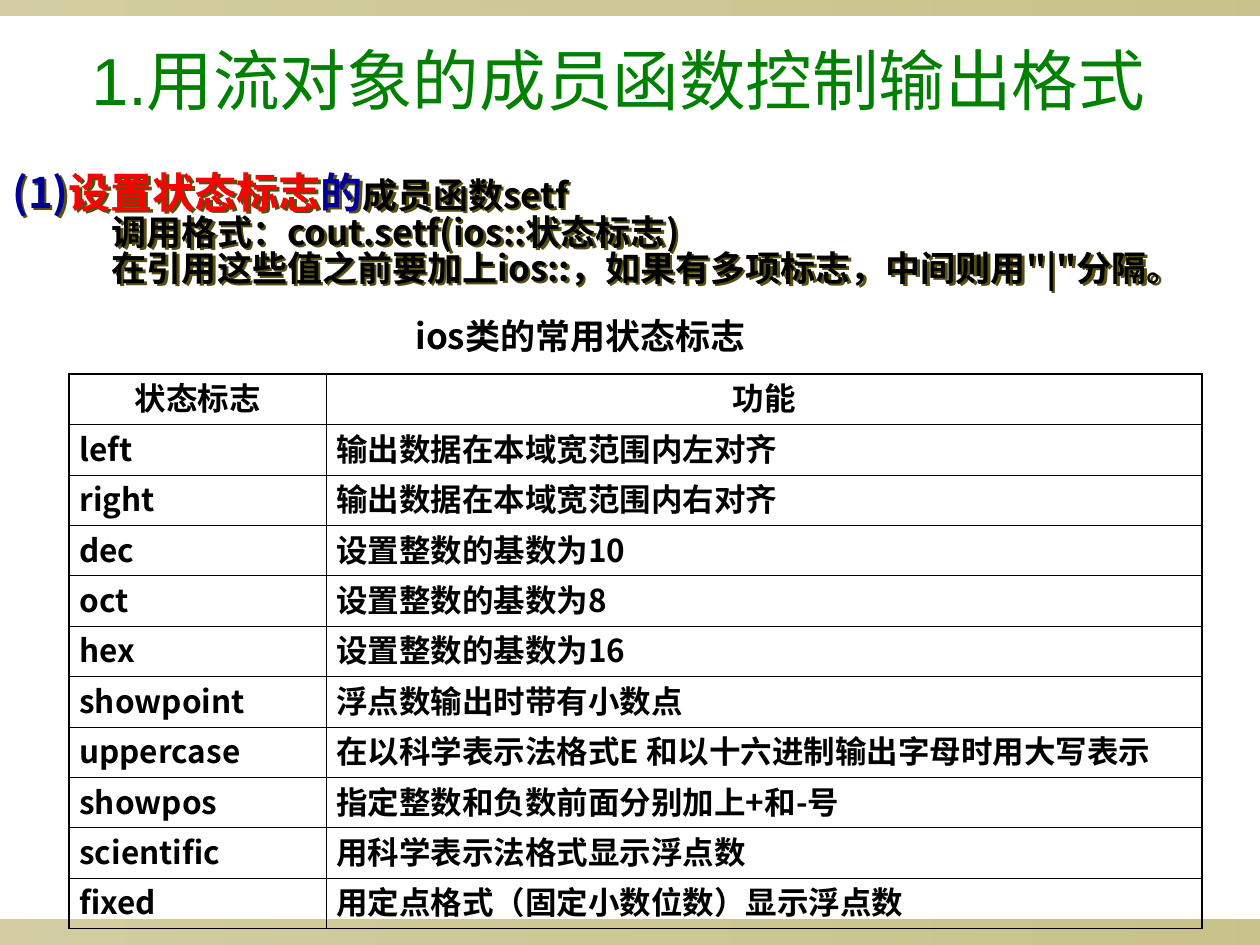
from lxml import etree
from pptx import Presentation
from pptx.dml.color import RGBColor
from pptx.enum.shapes import MSO_SHAPE
from pptx.enum.text import MSO_ANCHOR, MSO_AUTO_SIZE, PP_ALIGN
from pptx.oxml.ns import qn
from pptx.util import Pt

RECT = MSO_SHAPE.RECTANGLE
LEFT, CENTER = PP_ALIGN.LEFT, PP_ALIGN.CENTER
MIDDLE, BOTTOM, TOP = MSO_ANCHOR.MIDDLE, MSO_ANCHOR.BOTTOM, MSO_ANCHOR.TOP
NO_FIT, GROW = MSO_AUTO_SIZE.NONE, MSO_AUTO_SIZE.SHAPE_TO_FIT_TEXT

WIDTH, HEIGHT = 720, 540
CJK_FONT = "Noto Sans CJK SC"
BLACK, BLUE, RED, GREEN = "000000", "000099", "FF0000", "008000"
OLIVE, DARK_OLIVE = "918415", "575010"
OUTER_LINE, INNER_LINE = 1.08, 0.45
LINE_SPACING = 0.85

FLAGS = [
    ("状态标志", "功能"),
    ("left", "输出数据在本域宽范围内左对齐"),
    ("right", "输出数据在本域宽范围内右对齐"),
    ("dec", "设置整数的基数为10"),
    ("oct", "设置整数的基数为8"),
    ("hex", "设置整数的基数为16"),
    ("showpoint", "浮点数输出时带有小数点"),
    ("uppercase", "在以科学表示法格式E 和以十六进制输出字母时用大写表示"),
    ("showpos", "指定整数和负数前面分别加上+和-号"),
    ("scientific", "用科学表示法格式显示浮点数"),
    ("fixed", "用定点格式（固定小数位数）显示浮点数"),
]
SETF_HEADING = [("(1)", 24, BLUE), ("设置状态标志", 24, RED),
                ("的", 24, BLUE), ("成员函数setf", 20, BLACK)]
SETF_LINES = ["调用格式：cout.setf(ios::状态标志)",
              "在引用这些值之前要加上ios::，如果有多项标志，中间则用\"|\"分隔。"]


def rgb(value):
    return RGBColor.from_string(value)


def set_font(target, size, color, name=CJK_FONT, bold=True):
    """Format the font of a run or a paragraph."""
    font = target.font
    font.name, font.size, font.bold = name, Pt(size), bold
    font.color.rgb = rgb(color)


def set_east_asian(paragraph):
    for run in paragraph.runs:
        properties = run._r.get_or_add_rPr()
        east_asian = properties.makeelement(qn("a:ea"), {"typeface": CJK_FONT})
        latin = properties.find(qn("a:latin"))
        if latin is None:
            properties.append(east_asian)
        else:
            latin.addnext(east_asian)


def add_bar(slide, top, height):
    bar = slide.shapes.add_shape(RECT, 0, Pt(top), Pt(WIDTH), Pt(height))
    bar.shadow.inherit = False
    bar.line.fill.background()
    bar.fill.gradient()
    bar.fill.gradient_angle = 0
    for stop, opacity in zip(bar.fill.gradient_stops, (40, 50)):
        stop.color.rgb = rgb(OLIVE)
        color = stop.color._xFill.find(qn("a:srgbClr")) if hasattr(
            stop.color, "_xFill") else stop._gs.find(qn("a:srgbClr"))
        etree.SubElement(color, qn("a:alpha"), val=str(opacity * 1000))


def add_title(slide, text):
    title = slide.shapes.title
    title.left, title.top, title.width, title.height = (
        Pt(45), Pt(23.76), Pt(630), Pt(47.5))
    frame = title.text_frame
    frame.text = text
    frame.auto_size, frame.vertical_anchor = NO_FIT, BOTTOM
    paragraph = frame.paragraphs[0]
    paragraph.alignment = LEFT
    set_font(paragraph, 38, GREEN, "Arial", False)
    set_east_asian(paragraph)


def add_text_box(slide, left, top, width, height, anchor, wrap):
    box = slide.shapes.add_textbox(Pt(left), Pt(top), Pt(width), Pt(height))
    frame = box.text_frame
    frame.word_wrap, frame.auto_size, frame.vertical_anchor = wrap, GROW, anchor
    return box


def add_text_shadow(box):
    """An unfilled box passes its shadow on to its text."""
    effects = etree.SubElement(box._element.spPr, qn("a:effectLst"))
    shadow = etree.SubElement(effects, qn("a:outerShdw"), dist=str(Pt(2)),
                              dir="2700000", algn="ctr", rotWithShape="0")
    etree.SubElement(shadow, qn("a:srgbClr"), val=DARK_OLIVE)


def add_explanation(slide):
    box = add_text_box(slide, 0, 90, WIDTH, 84.24, MIDDLE, True)
    add_text_shadow(box)
    frame = box.text_frame
    heading = frame.paragraphs[0]
    for text, size, color in SETF_HEADING:
        run = heading.add_run()
        run.text = text
        set_font(run, size, color)
    for text in SETF_LINES:
        line = frame.add_paragraph()
        line.text, line.level = text, 1
        properties = line._p.get_or_add_pPr()
        properties.set("marL", str(Pt(36)))
        properties.set("indent", str(Pt(20.9)))
        set_font(line, 20, BLACK)
    for paragraph in frame.paragraphs:
        paragraph.line_spacing = LINE_SPACING
        set_east_asian(paragraph)


def add_caption(slide, text):
    box = add_text_box(slide, 230.4, 180, 208, 31.7, TOP, False)
    caption = box.text_frame.paragraphs[0]
    caption.text, caption.line_spacing = text, LINE_SPACING
    set_font(caption, 20, BLACK)
    set_east_asian(caption)


def set_borders(cell, widths):
    """Draw the left, right, top and bottom borders, in that order."""
    properties = cell._tc.get_or_add_tcPr()
    for index, (side, width) in enumerate(zip("LRTB", widths)):
        line = properties.makeelement(qn(f"a:ln{side}"), {"w": str(Pt(width))})
        fill = etree.SubElement(line, qn("a:solidFill"))
        etree.SubElement(fill, qn("a:srgbClr"), val=BLACK)
        properties.insert(index, line)


def add_flag_table(slide):
    column_widths, row_height = (146.9, 500.4), 28.8
    last_row, last_column = len(FLAGS) - 1, len(column_widths) - 1
    table = slide.shapes.add_table(
        len(FLAGS), len(column_widths), Pt(39.6), Pt(213.84),
        Pt(sum(column_widths)), Pt(row_height * len(FLAGS))).table
    table.first_row = table.horz_banding = False
    for column, width in zip(table.columns, column_widths):
        column.width = Pt(width)
    for r, texts in enumerate(FLAGS):
        table.rows[r].height = Pt(row_height)
        for c, text in enumerate(texts):
            cell = table.cell(r, c)
            cell.fill.background()
            cell.margin_left = cell.margin_right = Pt(5.76)
            cell.margin_top = cell.margin_bottom = Pt(3.3)
            on_edge = (c == 0, c == last_column, r == 0, r == last_row)
            set_borders(cell, [OUTER_LINE if edge else INNER_LINE for edge in on_edge])
            cell.text = text
            paragraph = cell.text_frame.paragraphs[0]
            paragraph.alignment = CENTER if r == 0 else LEFT
            paragraph.line_spacing = LINE_SPACING
            set_font(paragraph, 18, BLACK)
            set_east_asian(paragraph)


def main():
    presentation = Presentation()
    presentation.slide_width, presentation.slide_height = Pt(WIDTH), Pt(HEIGHT)
    slide = presentation.slides.add_slide(presentation.slide_layouts[5])

    # Decorative bars along the bottom and top edges
    add_bar(slide, 525.6, 14.4)
    add_bar(slide, 0, 8.64)

    # Title, table of flags, and the texts above it
    add_title(slide, "1.用流对象的成员函数控制输出格式")
    add_flag_table(slide)
    add_explanation(slide)
    add_caption(slide, "ios类的常用状态标志")

    presentation.save("out.pptx")


if __name__ == "__main__":
    main()
